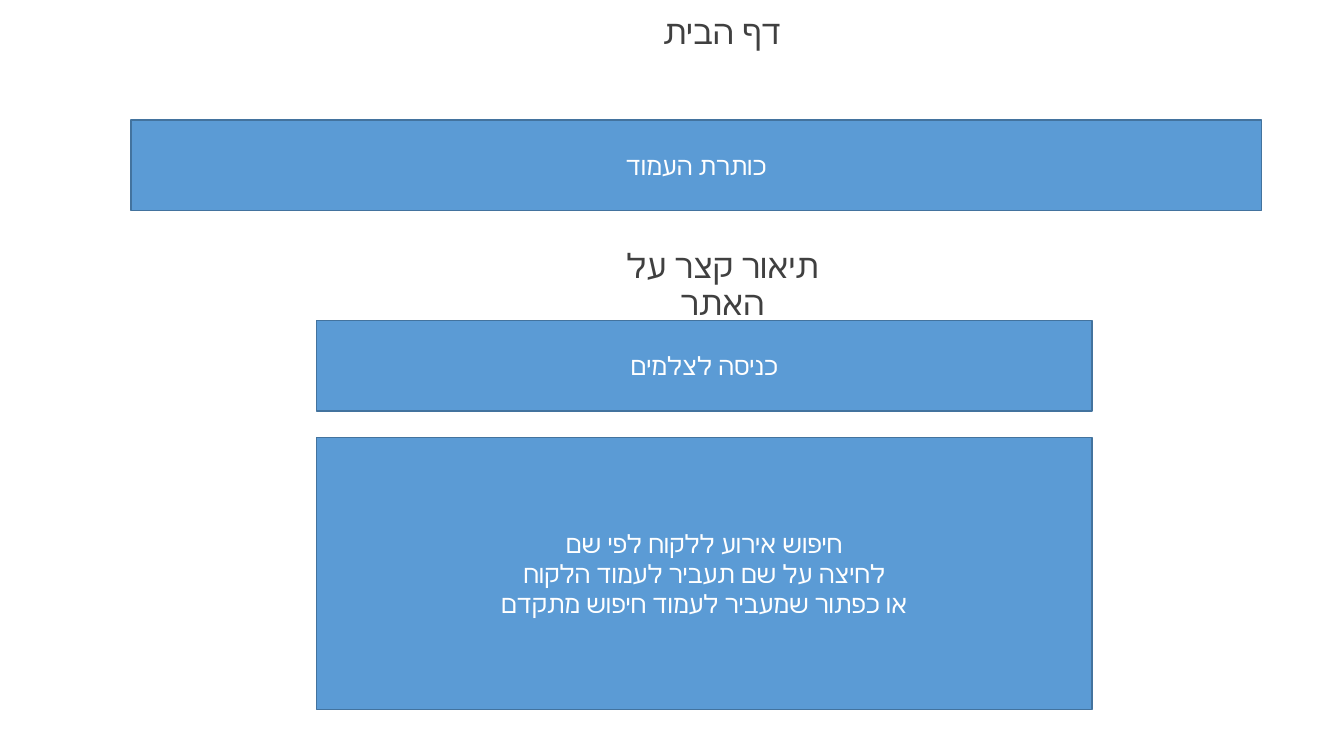
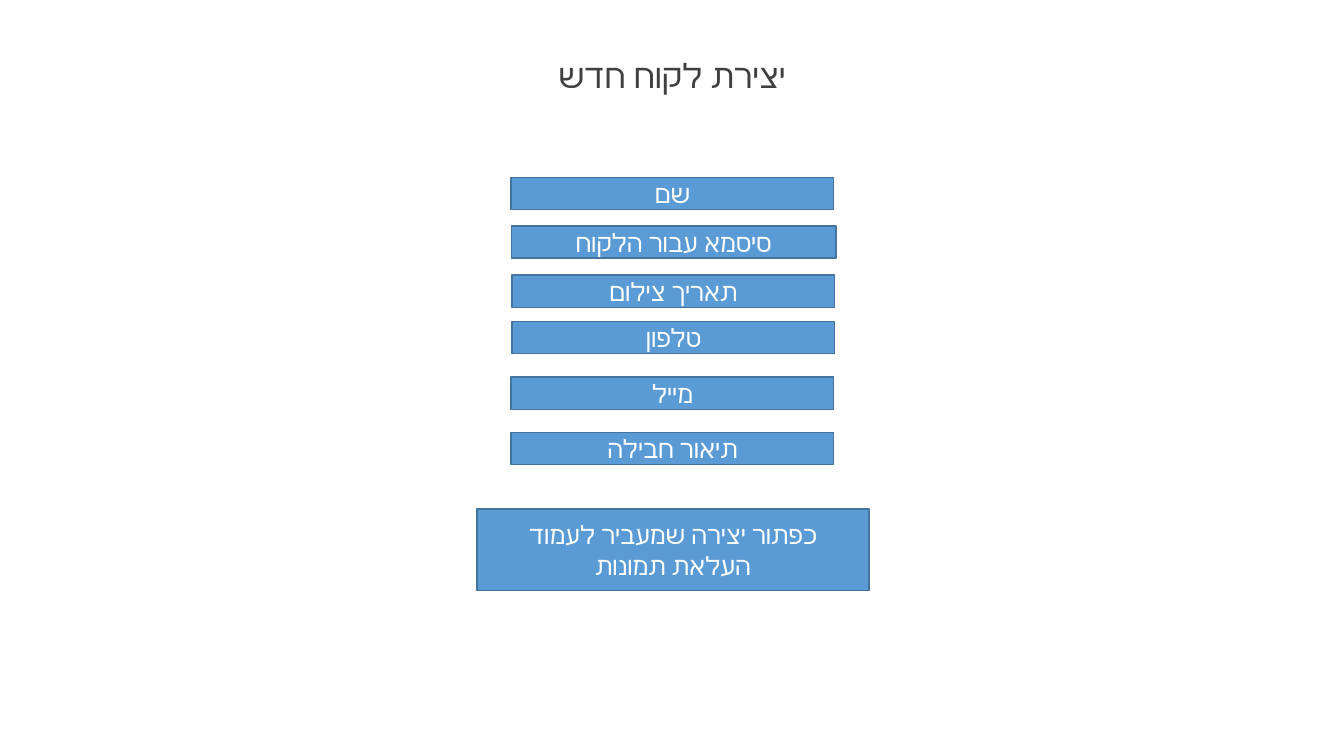
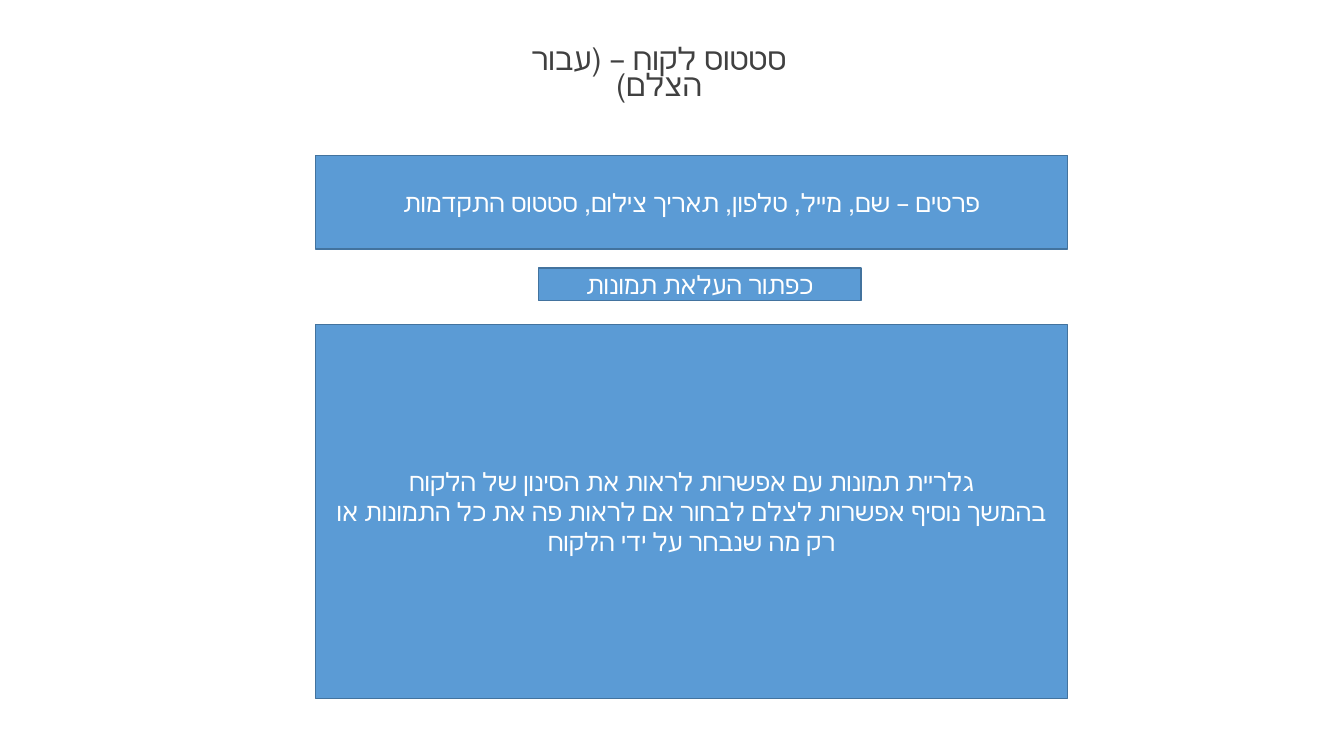
import pptx
import pptx.util
import pptx.dml.color
import pptx.enum.shapes
import pptx.enum.text

Inches = pptx.util.Inches
Pt = pptx.util.Pt
FONT = "Calibri"
COLORS = {"fill": "5B9BD5", "line": "43739E", "title": "404040", "text": "FFFFFF"}
HEX = {name: pptx.dml.color.RGBColor.from_string(code) for name, code in COLORS.items()}


def write(shape, paras, size, color, title=False):
    frame = shape.text_frame
    frame.word_wrap = True
    for i, text in enumerate(paras):
        para = frame.paragraphs[0] if i == 0 else frame.add_paragraph()
        para.alignment = pptx.enum.text.PP_ALIGN.CENTER
        if title:
            para.line_spacing = 0.9 if size == 24 else 0.7
            para.space_before = Pt(10)
            para._p.get_or_add_pPr().set("rtl", "1")
        for j, line in enumerate(text.split("\n")):
            if j:
                para.add_line_break()
            run = para.add_run()
            run.text = line
            run.font.size = Pt(size)
            run.font.name = FONT
            run.font.color.rgb = HEX[color]


deck = pptx.Presentation()
deck.slide_width = Inches(13.33)
deck.slide_height = Inches(7.5)

names = ["שם", "סיסמא עבור הלקוח", "תאריך צילום", "טלפון", "מייל", "תיאור חבילה"]
lefts = [5.07, 5.07, 5.08, 5.08, 5.07, 5.07]
tops = [1.76, 2.24, 2.73, 3.19, 3.74, 4.29]
widths = [3.2, 3.22, 3.2, 3.2, 3.2, 3.2]
fields = [(x, y, w, 0.32, [name]) for x, y, w, name in zip(lefts, tops, widths, names)]

pages = [
    (
        [(5.7, 0.1, 24, "דף הבית"), (5.7, 2.43, 24, "תיאור קצר על האתר")],
        [
            (1.3, 1.19, 11.21, 0.9, ["כותרת העמוד"]),
            (3.14, 3.18, 7.69, 0.9, ["כניסה לצלמים"]),
            (3.14, 4.34, 7.69, 2.7, [
                "חיפוש אירוע ללקוח לפי שם",
                "לחיצה על שם תעביר לעמוד הלקוח\nאו כפתור שמעביר לעמוד חיפוש מתקדם",
            ]),
        ],
    ),
    (
        [(5.2, 0.54, 24, "יצירת לקוח חדש")],
        fields + [(4.73, 5.05, 3.89, 0.81, ["כפתור יצירה שמעביר לעמוד העלאת תמונות"])],
    ),
    (
        [(5.07, 0.44, 22.2, "סטטוס לקוח – (עבור הצלם)")],
        [
            (3.13, 1.54, 7.46, 0.93, ["פרטים – שם, מייל, טלפון, תאריך צילום, סטטוס התקדמות"]),
            (5.34, 2.66, 3.2, 0.32, ["כפתור העלאת תמונות"]),
            (3.13, 3.22, 7.46, 3.71, [
                "גלריית תמונות עם אפשרות לראות את הסינון של הלקוח",
                "בהמשך נוסיף אפשרות לצלם לבחור אם לראות פה את כל התמונות או רק מה שנבחר על ידי הלקוח",
            ]),
        ],
    ),
]

for titles, boxes in pages:
    slide = deck.slides.add_slide(deck.slide_layouts[6])
    for x, y, size, text in titles:
        title = slide.shapes.add_textbox(Inches(x), Inches(y), Inches(2.93), Inches(0.62))
        write(title, [text], size, "title", True)
    for x, y, w, h, paras in boxes:
        box = slide.shapes.add_shape(
            pptx.enum.shapes.MSO_SHAPE.RECTANGLE, Inches(x), Inches(y), Inches(w), Inches(h)
        )
        box.shadow.inherit = False
        box.fill.solid()
        box.fill.fore_color.rgb = HEX["fill"]
        box.line.color.rgb = HEX["line"]
        box.line.width = Pt(1)
        frame = box.text_frame
        frame.vertical_anchor = pptx.enum.text.MSO_ANCHOR.MIDDLE
        frame.margin_left = frame.margin_right = Inches(0.12)
        write(box, paras, 18, "text")

deck.save("out.pptx")
